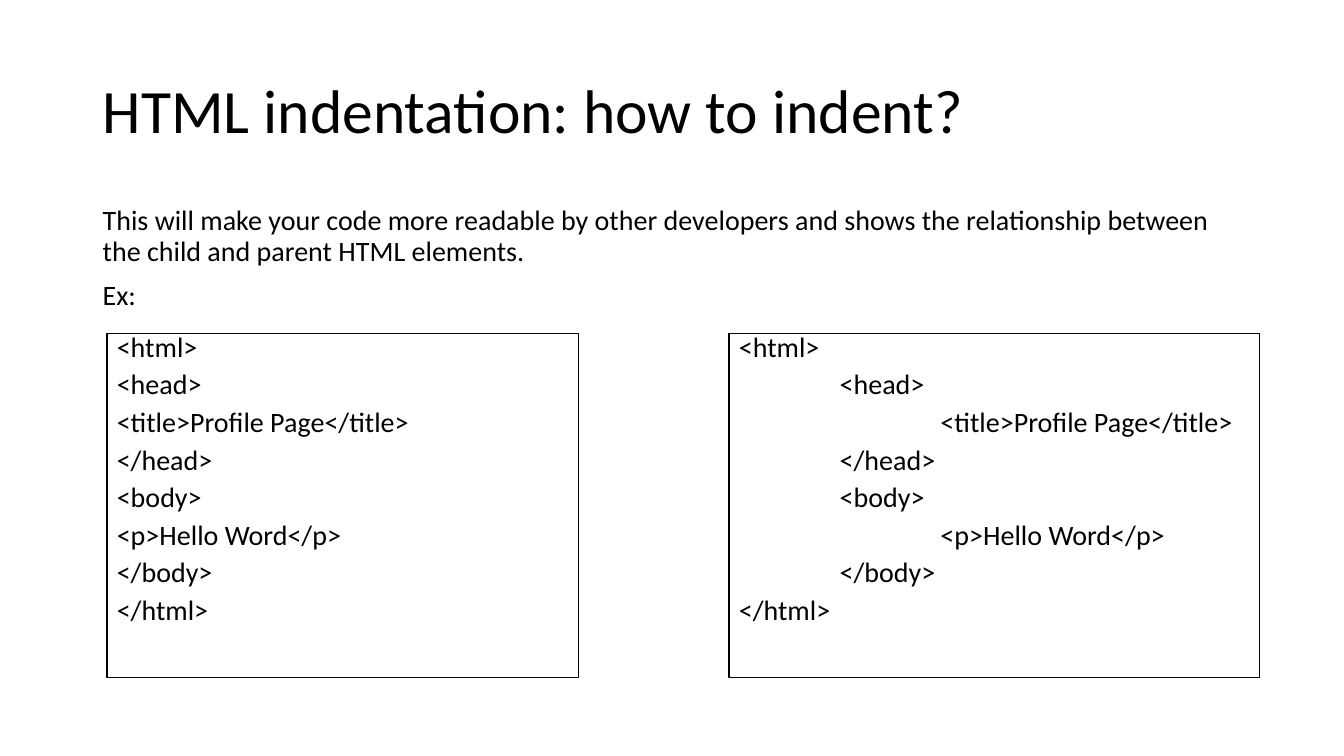
from pptx import Presentation
from pptx.dml.color import RGBColor
from pptx.enum.shapes import MSO_SHAPE
from pptx.enum.text import MSO_ANCHOR, PP_ALIGN
from pptx.util import Inches, Pt

RECTANGLE = MSO_SHAPE.RECTANGLE
TOP, MIDDLE = MSO_ANCHOR.TOP, MSO_ANCHOR.MIDDLE
LEFT = PP_ALIGN.LEFT
BLACK = RGBColor(0x00, 0x00, 0x00)
WHITE = RGBColor(0xFF, 0xFF, 0xFF)
FONT = "Calibri"
TITLE_ONLY = 5

TITLE_BOX = (0.92, 0.4, 11.5, 1.45)
INTRO_BOX = (0.92, 2, 11.5, 1.19)
CODE_TOP, CODE_HEIGHT = 3.31, 3.41
FLAT_BOX = (1.06, CODE_TOP, 4.68, CODE_HEIGHT)
INDENTED_BOX = (7.23, CODE_TOP, 5.26, CODE_HEIGHT)

INTRO = [
    "This will make your code more readable by other developers and shows "
    "the relationship between the child and parent HTML elements.",
    "Ex:",
]
CODE = [
    (0, "<html>"),
    (1, "<head>"),
    (2, "<title>Profile Page</title>"),
    (1, "</head>"),
    (1, "<body>"),
    (2, "<p>Hello Word</p>"),
    (1, "</body>"),
    (0, "</html>"),
]


def write_lines(frame, lines, size, spacing, before, anchor=TOP):
    """Fill a text frame with (indent level, text) lines, one inch a level."""
    frame.word_wrap = True
    frame.vertical_anchor = anchor
    for index, (level, text) in enumerate(lines):
        para = frame.add_paragraph() if index else frame.paragraphs[0]
        para.alignment = LEFT
        para.line_spacing = spacing
        para.space_before = Pt(before)
        if level:
            para._p.get_or_add_pPr().set("marL", str(Inches(level)))
        run = para.add_run()
        run.text = text
        run.font.name = FONT
        run.font.size = Pt(size)
        run.font.color.rgb = BLACK


def place_title(page, box, text):
    """Move the title placeholder into its box and write the heading."""
    title = page.shapes.title
    title.left, title.top, title.width, title.height = map(Inches, box)
    write_lines(title.text_frame, [(0, text)], 44, 0.9, 0, MIDDLE)


def add_intro(page, box, texts):
    """Add the introductory paragraphs above the code panels."""
    intro = page.shapes.add_textbox(*map(Inches, box))
    write_lines(intro.text_frame, [(0, text) for text in texts], 20, 0.9, 10)


def add_code_panel(page, box, lines):
    """Add an outlined panel that holds a code listing."""
    panel = page.shapes.add_shape(RECTANGLE, *map(Inches, box))
    panel.shadow.inherit = False
    panel.fill.solid()
    panel.fill.fore_color.rgb = WHITE
    panel.line.color.rgb = BLACK
    panel.line.width = Pt(1)
    write_lines(panel.text_frame, lines, 20, 0.7, 10)


def main():
    """Build the slide and save the deck."""
    deck = Presentation()
    deck.slide_width, deck.slide_height = Inches(13.33), Inches(7.5)
    page = deck.slides.add_slide(deck.slide_layouts[TITLE_ONLY])
    place_title(page, TITLE_BOX, "HTML indentation: how to indent?")
    add_intro(page, INTRO_BOX, INTRO)
    add_code_panel(page, INDENTED_BOX, CODE)
    add_code_panel(page, FLAT_BOX, [(0, text) for _, text in CODE])
    deck.save("out.pptx")


if __name__ == "__main__":
    main()
